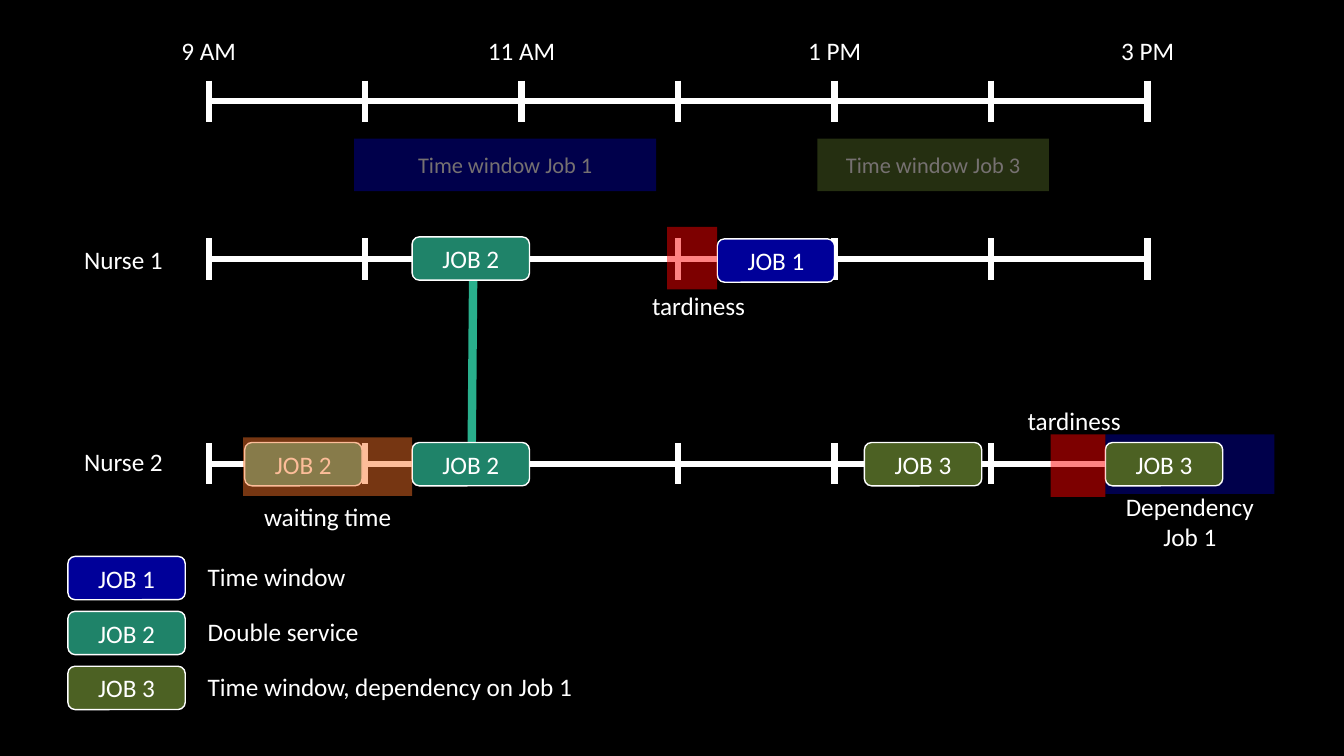
from lxml.etree import SubElement
from pptx import Presentation
from pptx.dml.color import RGBColor
from pptx.enum.shapes import MSO_CONNECTOR, MSO_SHAPE
from pptx.enum.text import MSO_ANCHOR, PP_ALIGN
from pptx.oxml.ns import qn
from pptx.util import Inches, Pt

BLACK = RGBColor(0x00, 0x00, 0x00)
WHITE = RGBColor(0xFF, 0xFF, 0xFF)
GREY = RGBColor(0x76, 0x71, 0x71)
BLUE = RGBColor(0x00, 0x00, 0x99)
GREEN = RGBColor(0x1F, 0x83, 0x69)
LIGHT_GREEN = RGBColor(0x29, 0xAF, 0x8C)
OLIVE = RGBColor(0x4C, 0x61, 0x23)
RED = RGBColor(0xFF, 0x00, 0x00)
ORANGE = RGBColor(0xFC, 0x74, 0x28)

FONT = "Calibri"
FIRST_HOUR, LAST_HOUR = 9, 15
START = Inches(2.07)
HOUR = Inches(1.552)
ROW = Inches(0.1)
JOB_HOURS, JOB_ROWS = 0.75, 4.3
JOB_COLORS = {"JOB 1": BLUE, "JOB 2": GREEN, "JOB 3": OLIVE}
SCALE_ROW, NURSE_1_ROW, NURSE_2_ROW = 10.05, 25.7, 46


def across(hour):
    return round(START + (hour - FIRST_HOUR) * HOUR)


def down(row):
    return round(row * ROW)


def box(hour, row, hours, rows):
    return across(hour), down(row), round(hours * HOUR), down(rows)


def write(shape, text, size, color, alignment):
    shape.text_frame.text = text
    for paragraph in shape.text_frame.paragraphs:
        paragraph.alignment = alignment
        paragraph.font.name = FONT
        paragraph.font.size = Pt(size)
        paragraph.font.color.rgb = color


def add_line(slide, start, end, color=WHITE, width=4.5):
    line = slide.shapes.add_connector(
        MSO_CONNECTOR.STRAIGHT,
        across(start[0]), down(start[1]), across(end[0]), down(end[1]))
    line.line.color.rgb = color
    line.line.width = Pt(width)
    SubElement(line.element.spPr, qn("a:effectLst"))


def add_timeline(slide, row):
    for hour in range(FIRST_HOUR, LAST_HOUR + 1):
        add_line(slide, (hour, row - 2.05), (hour, row + 2.05))
        if hour < LAST_HOUR:
            add_line(slide, (hour, row), (hour + 1, row))


def add_label(slide, text, hour, row, hours, alignment=PP_ALIGN.LEFT):
    rows = 4 + 3.1 * text.count("\n")
    label = slide.shapes.add_textbox(*box(hour, row, hours, rows))
    label.text_frame.word_wrap = False
    write(label, text, 18, WHITE, alignment)


def add_block(slide, preset, place, color):
    shape = slide.shapes.add_shape(preset, *box(*place))
    shape.shadow.inherit = False
    shape.fill.solid()
    shape.fill.fore_color.rgb = color
    shape.text_frame.vertical_anchor = MSO_ANCHOR.MIDDLE
    return shape


def add_job(slide, name, hour, row):
    place = (hour, row, JOB_HOURS, JOB_ROWS)
    job = add_block(slide, MSO_SHAPE.ROUNDED_RECTANGLE, place, JOB_COLORS[name])
    job.line.color.rgb = WHITE
    job.line.width = Pt(1)
    write(job, name, 18, WHITE, PP_ALIGN.CENTER)


def add_period(slide, place, color, opacity=49, text=""):
    period = add_block(slide, MSO_SHAPE.RECTANGLE, place, color)
    period.line.fill.background()
    fill_color = period.element.spPr.find(qn("a:solidFill"))[0]
    SubElement(fill_color, qn("a:alpha"), val=str(opacity * 1000))
    if text:
        write(period, text, 16, GREY, PP_ALIGN.CENTER)


def add_scale(slide):
    add_timeline(slide, SCALE_ROW)
    for index, text in enumerate(("9 AM", "11 AM", "1 PM", "3 PM")):
        hour = FIRST_HOUR + 2 * index
        add_label(slide, text, hour - 0.3, 3, 0.6, PP_ALIGN.CENTER)
    add_period(slide, (9.93, 13.75, 1.93, 5.2), BLUE, text="Time window Job 1")
    add_period(slide, (12.89, 13.75, 1.48, 5.2), OLIVE, text="Time window Job 3")


def add_nurses(slide):
    add_timeline(slide, NURSE_1_ROW)
    add_timeline(slide, NURSE_2_ROW)
    add_label(slide, "Nurse 1", 8.14, 23.7, 0.64)
    add_label(slide, "Nurse 2", 8.14, 43.8, 0.64)
    add_line(slide, (10.69, 27.6), (10.68, 46.2), LIGHT_GREEN, 6)

    add_job(slide, "JOB 2", 10.3, 23.5)
    add_job(slide, "JOB 1", 12.25, 23.7)
    add_period(slide, (11.93, 22.5, 0.32, 6.2), RED)
    add_label(slide, "tardiness", 11.77, 28.3, 0.73)

    add_job(slide, "JOB 2", 9.23, 43.9)
    add_job(slide, "JOB 2", 10.3, 43.9)
    add_period(slide, (9.22, 43.4, 1.08, 5.8), ORANGE, 47)
    add_label(slide, "waiting time", 9.29, 49.2, 0.95)
    add_job(slide, "JOB 3", 13.19, 43.9)
    add_period(slide, (14.73, 43.1, 1.08, 5.9), BLUE)
    add_label(slide, "Dependency\nJob 1", 14.77, 48.2, 1, PP_ALIGN.CENTER)
    add_job(slide, "JOB 3", 14.73, 43.9)
    add_period(slide, (14.38, 43.1, 0.35, 6.2), RED)
    add_label(slide, "tardiness", 14.17, 39.7, 0.73)


def add_legend(slide):
    entries = (
        ("JOB 1", "Time window", 1.02),
        ("JOB 2", "Double service", 1.11),
        ("JOB 3", "Time window, dependency on Job 1", 2.49),
    )
    for index, (name, meaning, hours) in enumerate(entries):
        row = 55.2 + 5.45 * index
        add_job(slide, name, 8.1, row)
        add_label(slide, meaning, 8.93, row, hours)


def main():
    presentation = Presentation()
    presentation.slide_width = Inches(13.33)
    presentation.slide_height = Inches(7.5)
    slide = presentation.slides.add_slide(presentation.slide_layouts[6])
    slide.background.fill.solid()
    slide.background.fill.fore_color.rgb = BLACK
    add_scale(slide)
    add_nurses(slide)
    add_legend(slide)
    presentation.save("out.pptx")


if __name__ == "__main__":
    main()
